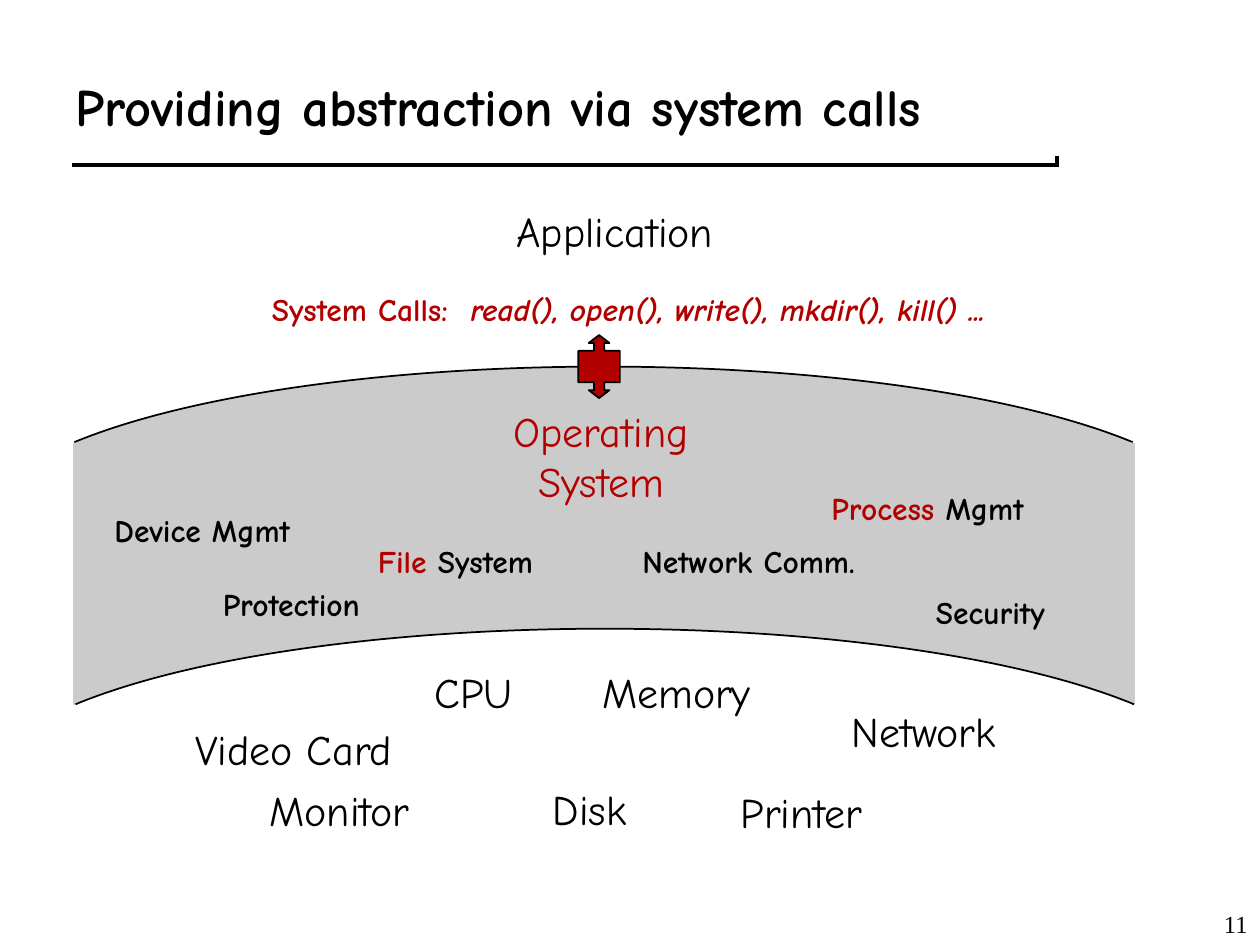
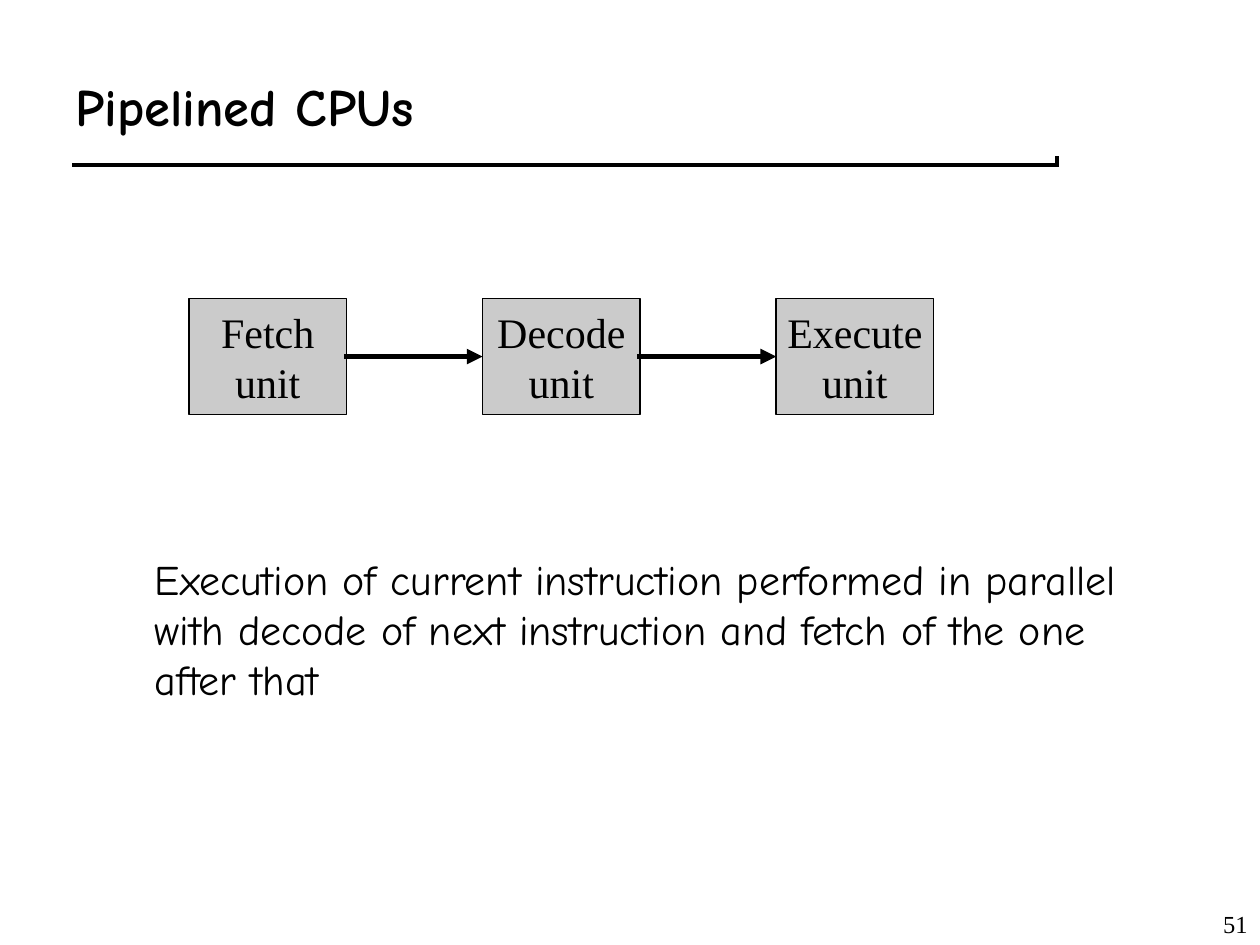
from copy import deepcopy
from lxml.etree import Element, SubElement
from pptx import Presentation
from pptx.dml.color import RGBColor
from pptx.enum.shapes import MSO_CONNECTOR, MSO_SHAPE
from pptx.enum.text import MSO_ANCHOR, MSO_AUTO_SIZE, PP_ALIGN
from pptx.oxml.ns import qn
from pptx.util import Inches, Pt

COLORS = {"ink": "000000", "paper": "FFFFFF", "band": "CBCBCB", "accent": "B20000"}
HAND, SERIF = "Comic Neue", "Times New Roman"
TITLE = {"name": HAND, "size": Pt(30), "bold": True}
LARGE = {"name": HAND, "size": Pt(24)}
SMALL = {"name": HAND, "size": Pt(18), "bold": True}
UNIT = {"name": SERIF, "size": Pt(24)}
NUMBER = {"name": SERIF, "size": Pt(14)}


def rgb(color):
    return RGBColor.from_string(COLORS[color])


def paint(shape, fill, line):
    shape.shadow.inherit = False
    shape.fill.solid()
    shape.fill.fore_color.rgb = rgb(fill)
    shape.line.color.rgb = rgb(line)
    shape.line.width = Pt(1)


def write(frame, lines, font, align=PP_ALIGN.LEFT, **frame_format):
    """Fill a text frame; each line is a list of (text, color, extra font values)."""
    for name, value in frame_format.items():
        setattr(frame, name, value)
    for index, runs in enumerate(lines):
        paragraph = frame.paragraphs[0] if index == 0 else frame.add_paragraph()
        paragraph.alignment = align
        for text, color, extra in runs:
            run = paragraph.add_run()
            run.text = text
            run.font.color.rgb = rgb(color)
            for name, value in {**font, **extra}.items():
                setattr(run.font, name, value)


def plain(text, color="ink"):
    return [(text, color, {})]


def add_text(slide, box, lines, font, align=PP_ALIGN.LEFT, **frame_format):
    shape = slide.shapes.add_textbox(*map(Inches, box))
    write(shape.text_frame, lines, font, align, **{"word_wrap": True, **frame_format})


def add_label(slide, box, runs, font, wrap=False, align=PP_ALIGN.LEFT):
    add_text(slide, box, [runs], font, align,
             word_wrap=wrap, auto_size=MSO_AUTO_SIZE.SHAPE_TO_FIT_TEXT)


def add_line(slide, start, end, color, width):
    line = slide.shapes.add_connector(MSO_CONNECTOR.STRAIGHT, *map(Inches, start + end))
    line.line.color.rgb = rgb(color)
    line.line.width = Pt(width)
    line.line._get_or_add_ln().set("cap", "sq")
    SubElement(line._element.spPr, qn("a:effectLst"))
    return line


def add_base_slide(presentation, title, number):
    """Blank slide with the title, its offset rule and the slide number."""
    slide = presentation.slides.add_slide(presentation.slide_layouts[6])
    for left, top, color in [(0.61, 1.28, "ink"), (0.58, 1.25, "paper")]:
        add_line(slide, (left, top), (left + 7.75, top), color, 6)
    add_text(slide, (0.5, 0.34, 8.6, 1), [plain(title)], TITLE,
             vertical_anchor=MSO_ANCHOR.MIDDLE)
    add_text(slide, (7.92, 7, 2.08, 0.5), [plain(str(number))], NUMBER,
             PP_ALIGN.RIGHT, vertical_anchor=MSO_ANCHOR.BOTTOM)
    return slide


def curve_to(points):
    curve = Element(qn("a:cubicBezTo"))
    for x, y in points:
        SubElement(curve, qn("a:pt"), x=str(Inches(x)), y=str(Inches(y)))
    return curve


def add_arc(slide, left, top, fill):
    """Shallow dome: a filled wedge, with only its arc outlined."""
    width, rise, depth = 8.4, 0.6, 1.33
    middle = width / 2
    corners = [(0, rise), (middle, 0), (width, rise), (middle, depth)]
    corners = [(Inches(left + x), Inches(top + y)) for x, y in corners]
    builder = slide.shapes.build_freeform(*corners[0])
    builder.add_line_segments(corners[1:], close=True)
    dome = builder.convert_to_shape()
    paint(dome, fill, "ink")

    wedge = next(dome._element.iter(qn("a:path")))
    climb = [(0.92, 0.22), (2.5, 0), (middle, 0)]
    descent = [(width - 2.5, 0), (width - 0.92, 0.22), (width, rise)]
    for index, points in enumerate((climb, descent), start=1):
        wedge.replace(wedge[index], curve_to(points))
    outline = deepcopy(wedge)
    for segment in outline[3:]:
        outline.remove(segment)
    outline.set("fill", "none")
    wedge.set("stroke", "0")
    wedge.addprevious(outline)


def add_operating_system(slide, left, top):
    body = slide.shapes.add_shape(
        MSO_SHAPE.RECTANGLE, *map(Inches, (left, top + 0.61, 8.41, 2.07)))
    paint(body, "band", "band")
    add_arc(slide, left, top, "band")
    add_arc(slide, left + 0.01, top + 2.08, "paper")
    add_label(slide, (left + 3.24, top + 0.26, 1.88, 0.9),
              plain("Operating System", "accent"), LARGE, True, PP_ALIGN.CENTER)
    services = [
        (0.22, 1.1, 1.71, plain("Device Mgmt")),
        (2.31, 1.34, 1.71, plain("File", "accent") + plain(" System")),
        (4.41, 1.34, 2.01, plain("Network Comm.")),
        (5.91, 0.92, 1.81, plain("Process", "accent") + plain(" Mgmt")),
        (1.08, 1.68, 1.6, plain("Protection")),
        (6.74, 1.75, 1.6, plain("Security")),
    ]
    for x, y, width, runs in services:
        add_label(slide, (left + x, top + y, width, 0.4), runs, SMALL, True)


def add_hardware(slide, left, top):
    devices = [
        ("Video Card", 0, 0.45, 1.77), ("CPU", 1.9, 0, 0.82),
        ("Monitor", 0.59, 0.94, 1.32), ("Printer", 4.33, 0.95, 1.17),
        ("Disk", 2.84, 0.93, 0.82), ("Memory", 3.23, 0, 1.38),
        ("Network", 5.21, 0.31, 1.35),
    ]
    for name, x, y, width in devices:
        add_label(slide, (left + x, top + y, width, 0.5), plain(name), LARGE)


def add_application(slide, left, top):
    add_label(slide, (left + 1.94, top, 1.76, 0.5), plain("Application"), LARGE)
    calls = ("read(), open(), write(), mkdir(), kill() ...", "accent", {"italic": True})
    add_label(slide, (left, top + 0.67, 5.87, 0.4),
              plain("System Calls:  ", "accent") + [calls], SMALL)
    gate = slide.shapes.add_shape(
        MSO_SHAPE.UP_DOWN_ARROW_CALLOUT, *map(Inches, (left + 2.53, top + 1.08, 0.33, 0.5)))
    for index, value in enumerate((0.25, 0.25, 0.19, 0.5)):
        gate.adjustments[index] = value
    paint(gate, "accent", "ink")


def add_pipeline(slide, left, top, stages):
    width, height, pitch = 1.25, 0.92, 2.33
    previous = None
    for index, stage in enumerate(stages):
        x = left + index * pitch
        unit = slide.shapes.add_shape(
            MSO_SHAPE.RECTANGLE, *map(Inches, (x, top, width, height)))
        paint(unit, "band", "ink")
        write(unit.text_frame, [plain(stage), plain("unit")], UNIT, PP_ALIGN.CENTER,
              word_wrap=False, vertical_anchor=MSO_ANCHOR.MIDDLE)
        if previous is not None:
            middle = top + height / 2
            arrow = add_line(slide, (x - pitch + width, middle), (x, middle), "ink", 3)
            arrow.begin_connect(previous, 3)
            arrow.end_connect(unit, 1)
            SubElement(arrow.line._get_or_add_ln(), qn("a:tailEnd"), type="triangle")
        previous = unit


def build_system_calls(presentation):
    slide = add_base_slide(presentation, "Providing abstraction via system calls", 11)
    add_operating_system(slide, 0.59, 2.91)
    add_hardware(slide, 1.45, 5.24)
    add_application(slide, 2.06, 1.58)


def build_pipelined_cpus(presentation):
    slide = add_base_slide(presentation, "Pipelined CPUs", 51)
    add_pipeline(slide, 1.5, 2.37, ["Fetch", "Decode", "Execute"])
    explanation = [
        "Execution of current instruction performed in parallel",
        "with decode of next instruction and fetch of the one",
        "after that",
    ]
    add_text(slide, (1.13, 4.34, 7.85, 1.3), [plain(line) for line in explanation], LARGE,
             word_wrap=False, auto_size=MSO_AUTO_SIZE.SHAPE_TO_FIT_TEXT)


def main():
    presentation = Presentation()
    presentation.slide_width = Inches(10)
    presentation.slide_height = Inches(7.5)
    build_system_calls(presentation)
    build_pipelined_cpus(presentation)
    presentation.save("out.pptx")


if __name__ == "__main__":
    main()
